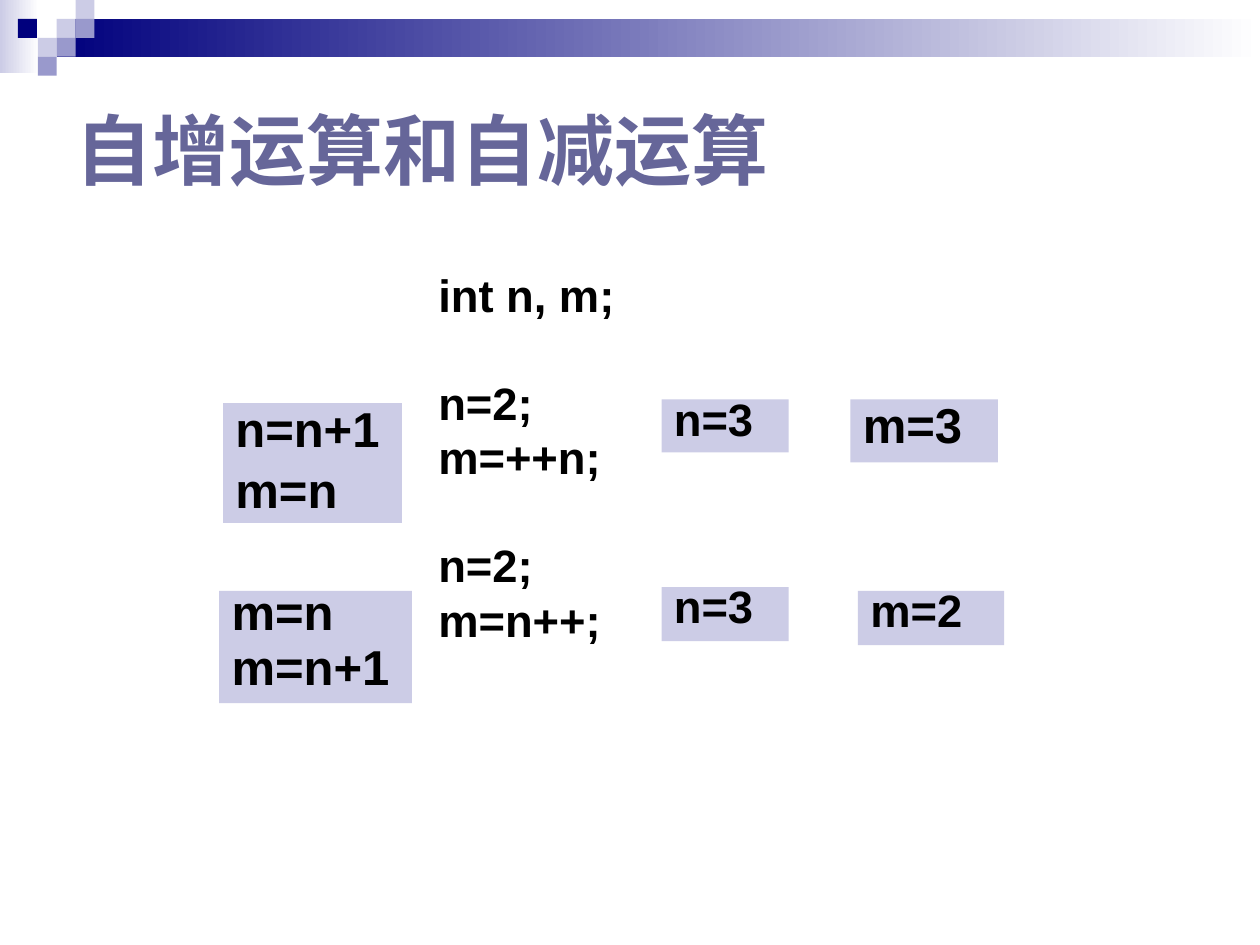
from pptx import Presentation
from pptx.dml.color import RGBColor
from pptx.enum.shapes import MSO_SHAPE
from pptx.enum.text import MSO_ANCHOR, PP_ALIGN
from pptx.util import Inches, Pt

RECTANGLE = MSO_SHAPE.RECTANGLE
MIDDLE, TOP = MSO_ANCHOR.MIDDLE, MSO_ANCHOR.TOP
LEFT, JUSTIFY = PP_ALIGN.LEFT, PP_ALIGN.JUSTIFY
WHITE, BLACK, NAVY = "FFFFFF", "000000", "00007D"
LAVENDER, VIOLET, SLATE = "CCCCE6", "9999CC", "666699"
TILE = 0.15


def rgb(color):
    """Turn a hex string into a colour."""
    return RGBColor.from_string(color)


def add_rectangle(page, left, top, width, height, color):
    """Add a plain filled rectangle without outline or shadow."""
    box = page.shapes.add_shape(
        RECTANGLE, Inches(left), Inches(top), Inches(width), Inches(height))
    box.shadow.inherit = False
    box.line.fill.background()
    box.fill.solid()
    box.fill.fore_color.rgb = rgb(color)
    return box


def add_fading_band(page, left, top, width, height, color):
    """Add a band that fades from the colour at the left to white."""
    band = add_rectangle(page, left, top, width, height, color)
    band.fill.gradient()
    band.fill.gradient_angle = 180
    for stop, shade, position in zip(band.fill.gradient_stops, (WHITE, color), (0, 1)):
        stop.color.rgb = rgb(shade)
        stop.position = position


def write_text(box, text, size=25.9, color=BLACK, spacing=1.0, gap=8,
               align=LEFT, anchor=TOP, margin=0, hanging=0):
    """Write bold lines; an empty line in the text widens the next gap."""
    frame = box.text_frame
    frame.word_wrap = True
    frame.vertical_anchor = anchor
    blocks = [block.split("\n") for block in text.split("\n\n")]
    lines = [(line, row == 0) for block in blocks for row, line in enumerate(block)]
    for index, (line, opens_block) in enumerate(lines):
        para = frame.add_paragraph() if index else frame.paragraphs[0]
        properties = para._p.get_or_add_pPr()
        properties.set("marL", str(Inches(margin)))
        properties.set("indent", str(Inches(-hanging)))
        para.alignment = align
        para.line_spacing = spacing
        blank_line = size * 1.15 * spacing + gap if opens_block else 0
        para.space_before = Pt(round(gap + blank_line, 1) if index else 0)
        span = para.add_run()
        span.text = line
        span.font.name = "Arial"
        span.font.size = Pt(size)
        span.font.bold = True
        span.font.color.rgb = rgb(color)


def add_text(page, left, top, width, height, text, **style):
    """Add a text box with the given style."""
    box = page.shapes.add_textbox(
        Inches(left), Inches(top), Inches(width), Inches(height))
    write_text(box, text, **style)


def add_note(page, left, top, width, height, text, **style):
    """Add a lavender note with text."""
    write_text(add_rectangle(page, left, top, width, height, LAVENDER), text, **style)


def add_header(page):
    """Add the fading bands and the mosaic of tiles."""
    add_fading_band(page, 0, 0, 0.31, 0.58, LAVENDER)
    add_fading_band(page, 0.45, 0.15, 9.55, 0.3, NAVY)
    tiles = [(3, 1, LAVENDER), (4, 0, LAVENDER), (4, 1, VIOLET), (2, 2, LAVENDER),
             (0.95, 1, NAVY), (3, 2, VIOLET), (2, 3, VIOLET)]
    for column, row, color in tiles:
        add_rectangle(page, column * TILE, row * TILE, TILE, TILE, color)


def main():
    """Build the slide and save it."""
    deck = Presentation()
    deck.slide_width, deck.slide_height = Inches(10), Inches(7.5)
    page = deck.slides.add_slide(deck.slide_layouts[6])
    add_header(page)
    add_text(page, 0.5, 0.5, 7.73, 1.36, "自增运算和自减运算",
             size=44, color=SLATE, align=JUSTIFY, anchor=MIDDLE)
    add_text(page, 2.79, 2.17, 2.21, 3.17,
             "int n, m;\n\nn=2;\nm=++n;\n\nn=2;\nm=n++;",
             spacing=0.75, align=JUSTIFY, margin=0.9, hanging=0.31)
    hang = {"margin": 0.38, "hanging": 0.38}
    add_note(page, 5.25, 3.17, 1.01, 0.42, "n=3", spacing=0.7, **hang)
    add_note(page, 5.25, 4.66, 1.01, 0.43, "n=3", spacing=0.7, **hang)
    add_note(page, 6.75, 3.17, 1.17, 0.5, "m=3", size=28, spacing=0.8, **hang)
    add_note(page, 6.81, 4.69, 1.16, 0.43, "m=2", spacing=0.7, **hang)
    add_note(page, 1.74, 4.69, 1.53, 0.89, "m=n\nm=n+1", size=28, spacing=0.7, **hang)
    add_note(page, 1.77, 3.2, 1.42, 0.95, "n=n+1\nm=n", size=28, spacing=0.8)
    deck.save("out.pptx")


if __name__ == "__main__":
    main()
